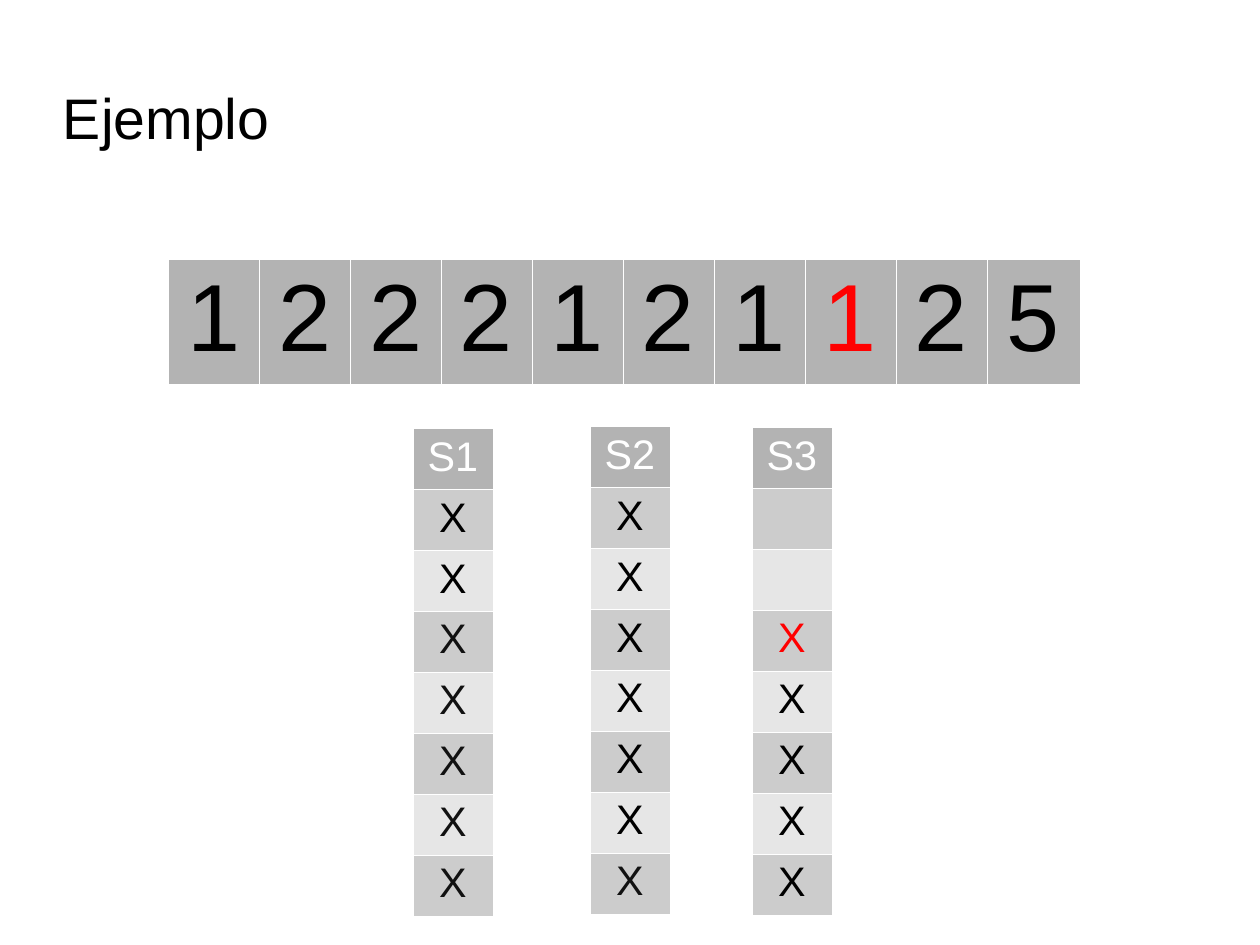
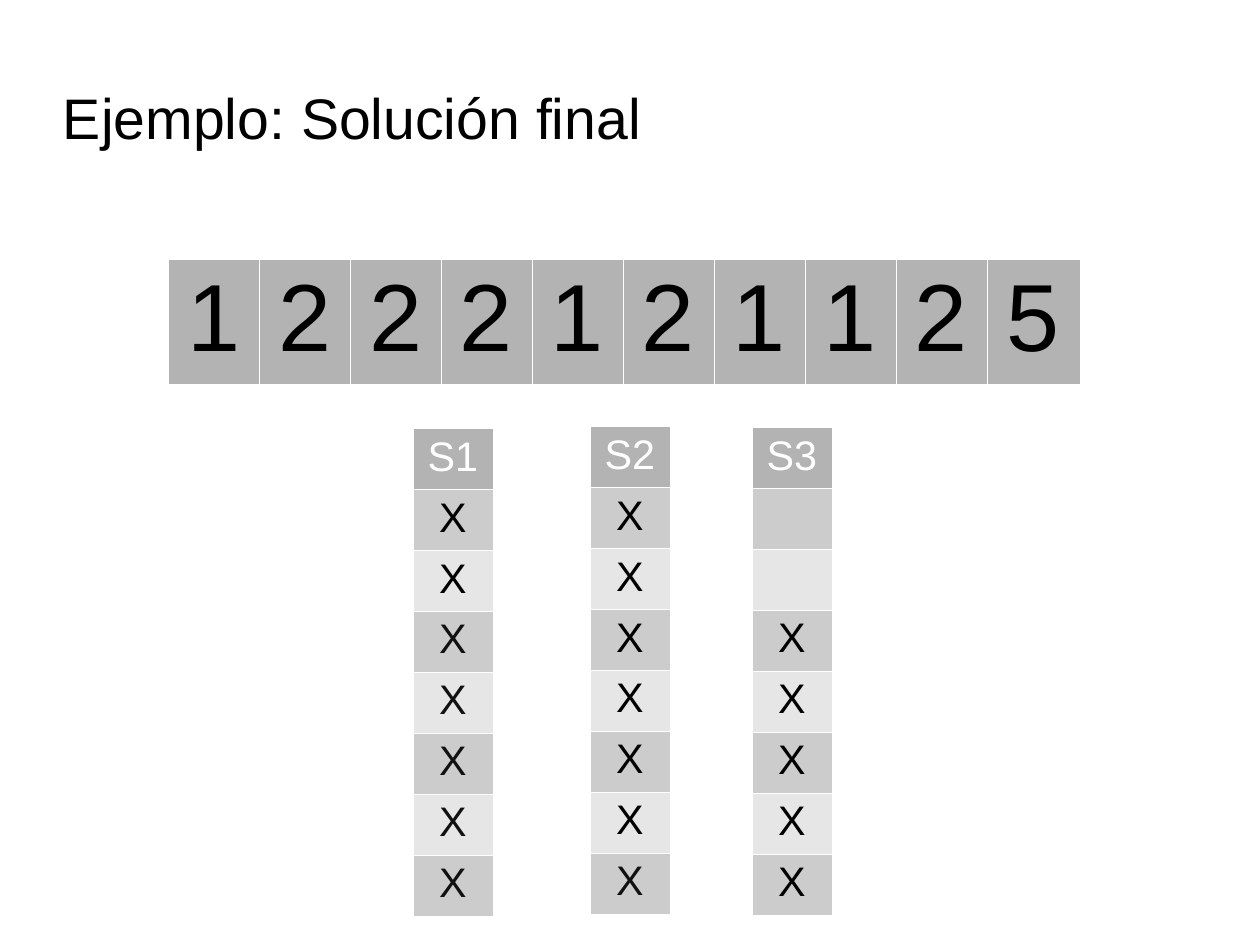
from lxml.etree import SubElement
from pptx import Presentation
from pptx.dml.color import RGBColor
from pptx.enum.text import MSO_ANCHOR, PP_ALIGN
from pptx.oxml.ns import qn
from pptx.util import Pt

PX = 8000
BLACK = RGBColor(0x00, 0x00, 0x00)
DARK = RGBColor(0x11, 0x11, 0x11)
RED = RGBColor(0xFF, 0x00, 0x00)
WHITE = RGBColor(0xFF, 0xFF, 0xFF)
HEAD = RGBColor(0xB3, 0xB3, 0xB3)
BANDS = [RGBColor(0xCC, 0xCC, 0xCC), RGBColor(0xE6, 0xE6, 0xE6)]
INKS = {"k": BLACK, "d": DARK, "r": RED}
FRAME = {"margin_left": 0, "margin_top": 0, "margin_right": 0, "margin_bottom": 0,
         "vertical_anchor": MSO_ANCHOR.MIDDLE, "word_wrap": True}
PLACE = {"left": 63 * PX, "top": 72 * PX, "width": 900 * PX, "height": 90 * PX}
PLAIN = {"first_row": False, "horz_banding": False}


def style(item, values):
    for name, value in values.items():
        setattr(item, name, value)


def add_grid(slide, box, wide, tall, size, cells):
    rows, cols = len(cells), len(cells[0])
    left, top = box
    table = slide.shapes.add_table(rows, cols, left * PX, top * PX,
                                   cols * wide * PX, rows * tall * PX).table
    style(table, PLAIN)
    for col in table.columns:
        col.width = wide * PX
    for row, line in zip(table.rows, cells):
        row.height = tall * PX
        for cell, (text, ink, fill) in zip(row.cells, line):
            props = cell._tc.get_or_add_tcPr()
            for side in ("a:lnL", "a:lnR", "a:lnT", "a:lnB"):
                edge = SubElement(props, qn(side), w="762")
                paint = SubElement(edge, qn("a:solidFill"))
                SubElement(paint, qn("a:srgbClr"), val=str(WHITE))
            cell.fill.solid()
            cell.fill.fore_color.rgb = fill
            if text:
                para = cell.text_frame.paragraphs[0]
                para.alignment = PP_ALIGN.CENTER
                run = para.add_run()
                run.text = text
                style(run.font, {"name": "Arial", "size": Pt(size), "bold": False})
                run.font.color.rgb = ink
    return table


deck = Presentation()
style(deck, {"slide_width": 1260 * PX, "slide_height": 945 * PX})
digits = "1222121125"
pages = [("Ejemplo", "kkkkkkkrkk", "--rkkkk"),
         ("Ejemplo: Solución final", "kkkkkkkkkk", "--kkkkk")]

for name, hues, last in pages:
    slide = deck.slides.add_slide(deck.slide_layouts[5])
    title = slide.shapes.title
    style(title, PLACE)
    title.text = name
    style(title.text_frame, FRAME)
    para = title.text_frame.paragraphs[0]
    para.alignment = PP_ALIGN.LEFT
    style(para.runs[0].font, {"name": "Arial", "size": Pt(36)})
    para.runs[0].font.color.rgb = BLACK

    strip = [(digit, INKS[hue], HEAD) for digit, hue in zip(digits, hues)]
    table = add_grid(slide, (168, 259), 91, 125, 60, [strip])
    table.columns[9].width = 93 * PX

    stacks = [("S1", (413, 428), "kkddddd"), ("S2", (590, 426), "kkkkkkd"),
              ("S3", (752, 427), last)]
    for label, box, marks in stacks:
        cells = [[(label, WHITE, HEAD)]]
        for i, mark in enumerate(marks):
            text = "X" if mark in INKS else ""
            cells.append([(text, INKS.get(mark), BANDS[i % 2])])
        add_grid(slide, box, 80, 61, 26, cells)

deck.save("out.pptx")
